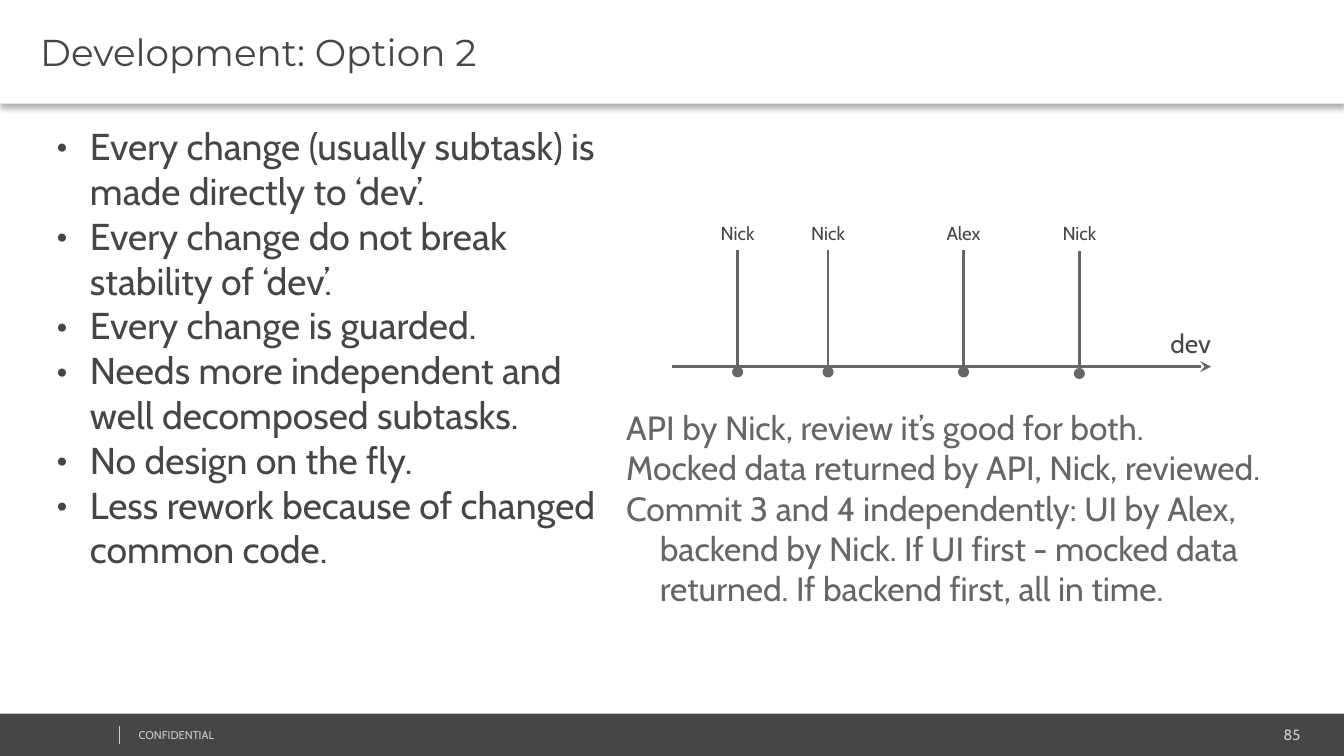
from dataclasses import dataclass
from typing import Any

from lxml import etree
from pptx import Presentation
from pptx import util as u
from pptx.dml.color import RGBColor
from pptx.enum import shapes, text
from pptx.oxml import ns

DARK, GREY, PALE, WHITE = "464547", "666666", "CCCCCC", "FFFFFF"
BODY_FONT, TITLE_FONT = "Cabin", "Montserrat"
INSET, TIGHT = (0.25, 0.25, 0.25, 0.25), (0.18, 0.1, 0.18, 0.1)
LEFT, CENTER, RIGHT = text.PP_ALIGN.LEFT, text.PP_ALIGN.CENTER, text.PP_ALIGN.RIGHT
TOP, MIDDLE = text.MSO_ANCHOR.TOP, text.MSO_ANCHOR.MIDDLE


@dataclass
class Style:
    size: float
    color: str = DARK
    name: str = BODY_FONT
    align: Any = LEFT
    anchor: Any = TOP
    insets: tuple = INSET
    hanging: bool = False
    bullet: str = ""


@dataclass
class Commit:
    author: str
    x: float
    top: float = 4.72


TITLE = Style(20, name=TITLE_FONT, anchor=MIDDLE, insets=(0.76, 0.1, 0.18, 0.1))
BULLETS = Style(20, hanging=True, bullet="•")
STEPS = Style(18, GREY, hanging=True)
AUTHOR = Style(10, align=CENTER, anchor=MIDDLE)
BRANCH = Style(14)
NOTICE = Style(6, PALE, insets=TIGHT)
NUMBER = Style(8, PALE, align=RIGHT, insets=TIGHT)

COMMITS = [Commit("Nick", 13.94), Commit("Nick", 15.65),
           Commit("Alex", 18.21), Commit("Nick", 20.4, 4.75)]
STEM = 2.31
RULES = [
    "Every change (usually subtask) is made directly to ‘dev’.",
    "Every change do not break stability of ‘dev’.",
    "Every change is guarded.",
    "Needs more independent and well decomposed subtasks.",
    "No design on the fly.",
    "Less rework because of changed common code.",
]
PLAN = [
    "API by Nick, review it’s good for both.",
    "Mocked data returned by API, Nick, reviewed.",
    "Commit 3 and 4 independently: UI by Alex, backend by Nick. "
    "If UI first - mocked data returned. If backend first, all in time.",
]


def rgb(value: str) -> RGBColor:
    return RGBColor.from_string(value)


def assign(target: Any, values: dict) -> None:
    for key, value in values.items():
        setattr(target, key, value)


def child(parent: Any, tag: str, **attributes: str) -> Any:
    return etree.SubElement(parent, ns.qn(tag), attributes)


def place(box: Any, at: tuple) -> None:
    assign(box, dict(zip(("left", "top", "width", "height"), map(u.Cm, at))))


def write(box: Any, lines: list[str], style: Style) -> None:
    frame = box.text_frame
    sides = ("margin_left", "margin_top", "margin_right", "margin_bottom")
    assign(frame, dict(zip(sides, map(u.Cm, style.insets))))
    assign(frame, {"word_wrap": True, "auto_size": text.MSO_AUTO_SIZE.NONE,
                   "vertical_anchor": style.anchor})
    for index, line in enumerate(lines):
        para = frame.add_paragraph() if index else frame.paragraphs[0]
        assign(para, {"alignment": style.align, "space_before": u.Pt(0)})
        if style.hanging:
            props = para._p.get_or_add_pPr()
            props.set("marL", str(u.Cm(1.27)))
            props.set("indent", str(u.Cm(-0.635)))
            if style.bullet:
                child(props, "a:buFont", typeface=style.name)
                child(props, "a:buChar", char=style.bullet)
            else:
                child(props, "a:buNone")
        span = para.add_run()
        span.text = line
        assign(span.font, {"size": u.Pt(style.size), "name": style.name})
        span.font.color.rgb = rgb(style.color)


def add_label(page: Any, content: str, at: tuple, style: Style) -> None:
    write(page.shapes.add_textbox(*map(u.Cm, at)), [content], style)


def add_line(page: Any, points: tuple, color: str, width: float, end: str = "") -> None:
    line = page.shapes.add_connector(shapes.MSO_CONNECTOR.STRAIGHT, *map(u.Cm, points))
    line.line.color.rgb = rgb(color)
    line.line.width = u.Pt(width)
    if end:
        child(line.line._get_or_add_ln(), "a:tailEnd", type=end, w="med", len="med")
    child(line._element.spPr, "a:effectLst")


def add_header(page: Any) -> None:
    header = page.shapes.title
    place(header, (0, 0, 25.4, 1.96))
    header.fill.solid()
    header.fill.fore_color.rgb = rgb(WHITE)
    effects = child(header._element.spPr, "a:effectLst")
    shadow = child(effects, "a:outerShdw", blurRad=str(u.Pt(3.1)), dist=str(u.Pt(2)),
                   dir="5400000", algn="t", rotWithShape="0")
    child(child(shadow, "a:srgbClr", val="000000"), "a:alpha", val="30000")
    write(header, ["Development: Option 2"], TITLE)


def add_footer(page: Any) -> None:
    bar = page.shapes.add_shape(shapes.MSO_SHAPE.RECTANGLE,
                                *map(u.Cm, (0, 13.49, 25.4, 0.8)))
    bar.shadow.inherit = False
    bar.fill.solid()
    bar.fill.fore_color.rgb = rgb(DARK)
    bar.line.fill.background()
    add_label(page, "85", (20.62, 13.61, 4.14, 0.53), NUMBER)
    add_label(page, "CONFIDENTIAL", (2.44, 13.67, 6.43, 0.46), NOTICE)
    add_line(page, (2.26, 13.72, 2.26, 14.07), PALE, 0.25)


def add_timeline(page: Any) -> None:
    add_line(page, (12.7, 6.93, 22.89, 6.93), GREY, 1.5, "stealth")
    add_label(page, "dev", (21.87, 5.94, 1.98, 0.69), BRANCH)
    for commit in COMMITS:
        add_label(page, commit.author, (commit.x - 0.69, 4.17, 1.38, 0.48), AUTHOR)
        add_line(page, (commit.x, commit.top, commit.x, commit.top + STEM),
                 GREY, 1.5, "oval")


def main() -> None:
    deck = Presentation()
    assign(deck, {"slide_width": u.Cm(25.4), "slide_height": u.Cm(14.29)})
    page = deck.slides.add_slide(deck.slide_layouts.get_by_name("Two Content"))
    add_header(page)
    lists = [((0.18, 2.08, 11.58, 7.44), RULES, BULLETS),
             ((10.95, 7.44, 13.69, 6.25), PLAN, STEPS)]
    for box, (at, lines, style) in zip(list(page.placeholders)[1:], lists):
        place(box, at)
        write(box, lines, style)
    add_footer(page)
    add_timeline(page)
    deck.save("out.pptx")


if __name__ == "__main__":
    main()
